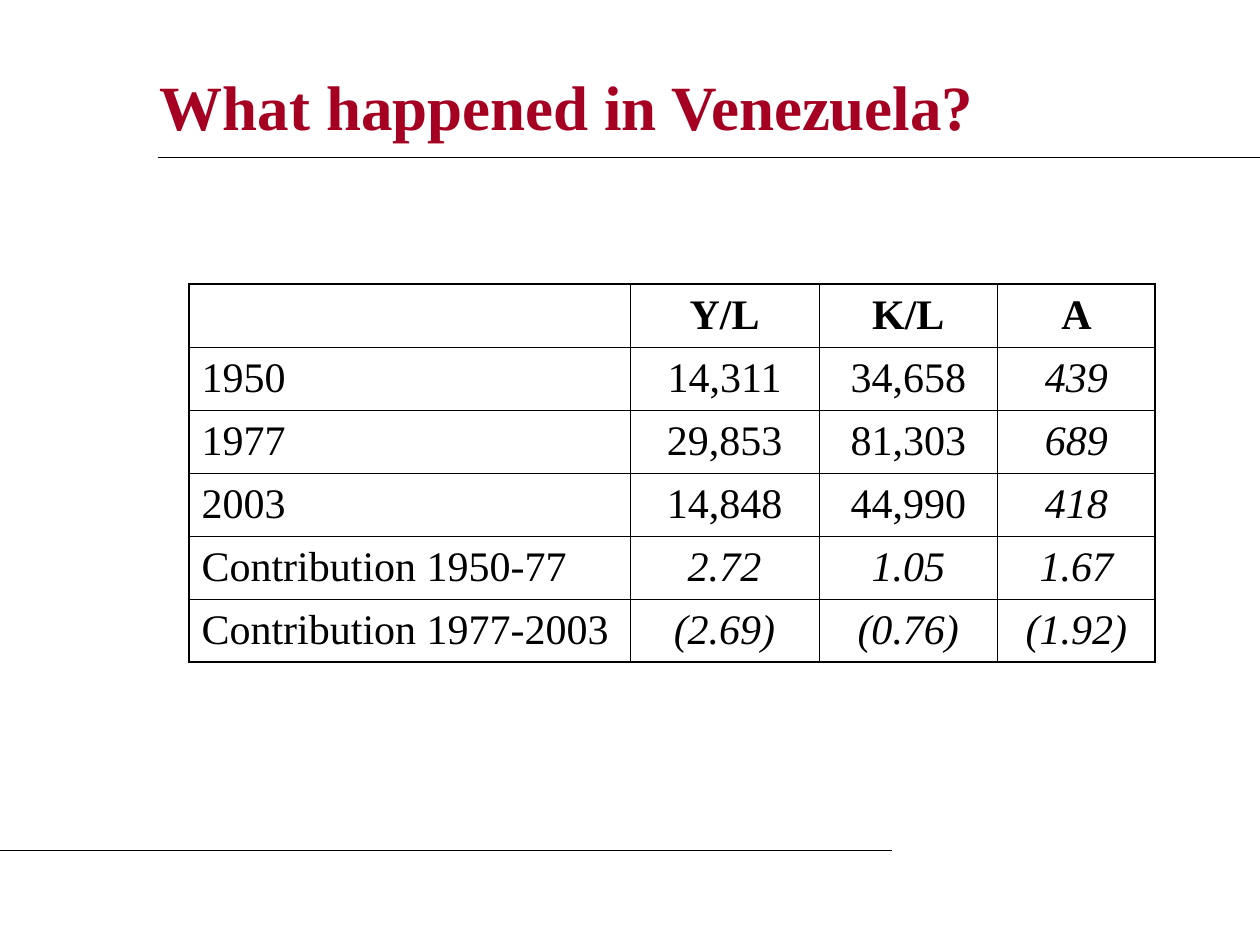
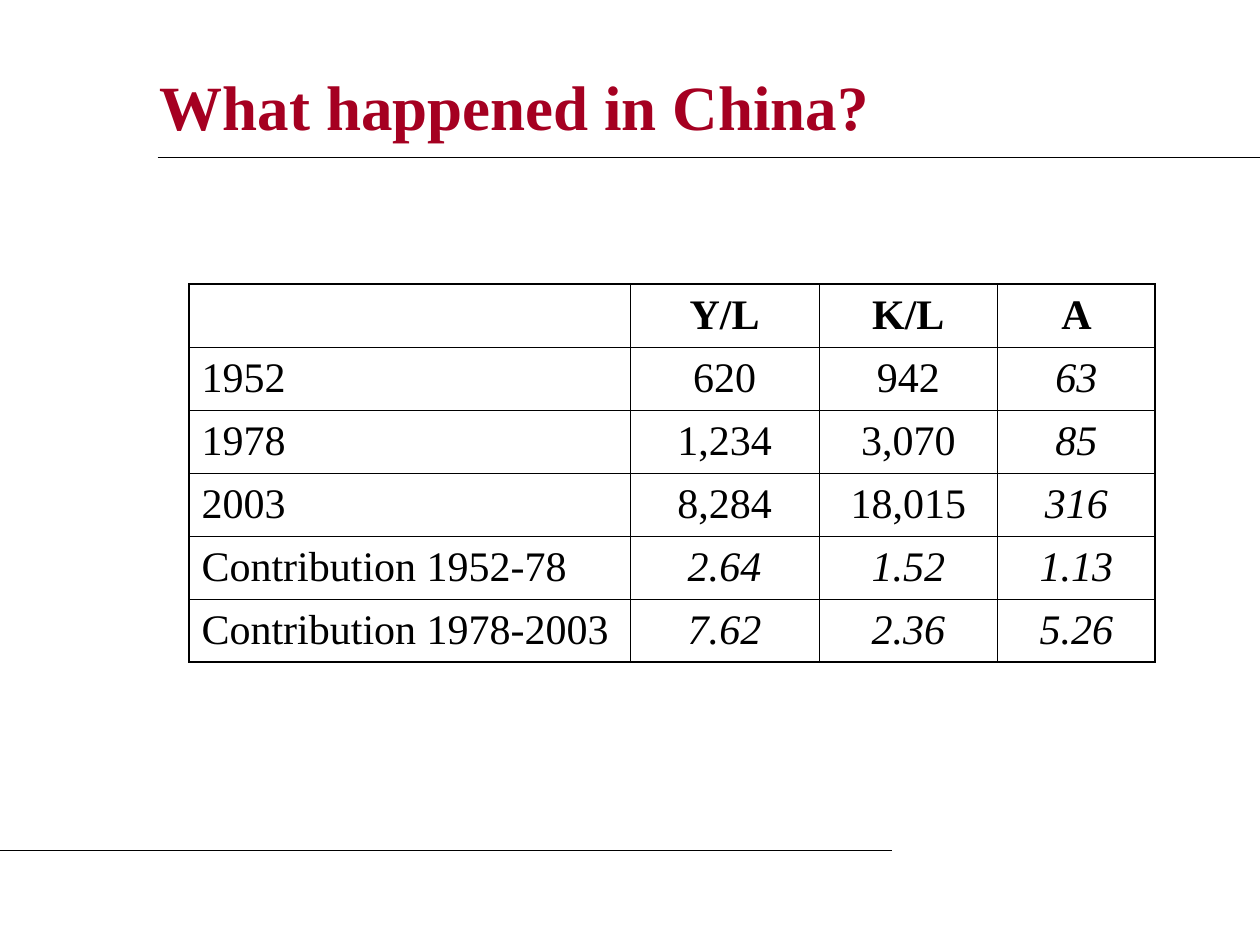
from dataclasses import dataclass

from lxml import etree
from pptx import Presentation
from pptx.dml.color import RGBColor
from pptx.enum.shapes import MSO_CONNECTOR
from pptx.enum.text import MSO_ANCHOR, MSO_AUTO_SIZE, PP_ALIGN
from pptx.oxml.ns import qn
from pptx.slide import Slide
from pptx.table import _Cell
from pptx.util import Cm, Pt

STRAIGHT = MSO_CONNECTOR.STRAIGHT
MIDDLE = MSO_ANCHOR.MIDDLE
NO_AUTOFIT = MSO_AUTO_SIZE.NONE
LEFT, CENTER = PP_ALIGN.LEFT, PP_ALIGN.CENTER
TITLE_ONLY_LAYOUT = 5


@dataclass(frozen=True)
class Theme:
    font: str = "Times New Roman"
    title_color: RGBColor = RGBColor(0xA5, 0x00, 0x21)
    ink: RGBColor = RGBColor(0x00, 0x00, 0x00)
    title_size: Pt = Pt(36)
    table_size: Pt = Pt(24)
    rule_width: Pt = Pt(0.75)
    inner_border: Pt = Pt(0.45)
    outer_border: Pt = Pt(1.08)


@dataclass(frozen=True)
class Rule:
    start: Cm
    end: Cm
    top: Cm


@dataclass(frozen=True)
class GrowthTable:
    country: str
    levels: list[tuple[str, ...]]
    contributions: list[tuple[str, ...]]


THEME = Theme()
SLIDE_WIDTH, SLIDE_HEIGHT = Cm(25.4), Cm(19.05)
RULES = (
    Rule(Cm(3.18), SLIDE_WIDTH, Cm(3.18)),
    Rule(Cm(0), Cm(17.99), Cm(17.15)),
)
HEADER = ("", "Y/L", "K/L", "A")
COLUMN_WIDTHS = (Cm(8.89), Cm(3.81), Cm(3.6), Cm(3.18))
ROW_HEIGHT = Cm(1.27)

GROWTH_TABLES = (
    GrowthTable(
        "Venezuela",
        [
            ("1950", "14,311", "34,658", "439"),
            ("1977", "29,853", "81,303", "689"),
            ("2003", "14,848", "44,990", "418"),
        ],
        [
            ("Contribution 1950-77", "2.72", "1.05", "1.67"),
            ("Contribution 1977-2003", "(2.69)", "(0.76)", "(1.92)"),
        ],
    ),
    GrowthTable(
        "China",
        [
            ("1952", "620", "942", "63"),
            ("1978", "1,234", "3,070", "85"),
            ("2003", "8,284", "18,015", "316"),
        ],
        [
            ("Contribution 1952-78", "2.64", "1.52", "1.13"),
            ("Contribution 1978-2003", "7.62", "2.36", "5.26"),
        ],
    ),
)


def add_title(page: Slide, text: str) -> None:
    title = page.shapes.title
    title.left, title.top = Cm(2.97), Cm(0.64)
    title.width, title.height = Cm(21.59), Cm(2.97)
    frame = title.text_frame
    frame.text = text
    frame.auto_size = NO_AUTOFIT
    frame.vertical_anchor = MIDDLE
    para = frame.paragraphs[0]
    para.alignment = LEFT
    para.font.name = THEME.font
    para.font.size = THEME.title_size
    para.font.bold = True
    para.font.color.rgb = THEME.title_color


def add_rule(page: Slide, rule: Rule) -> None:
    line = page.shapes.add_connector(
        STRAIGHT, rule.start, rule.top, rule.end, rule.top
    )
    line.line.color.rgb = THEME.ink
    line.line.width = THEME.rule_width
    etree.SubElement(line._element.spPr, qn("a:effectLst"))


def set_borders(cell: _Cell, outer_sides: dict[str, bool]) -> None:
    properties = cell._tc.get_or_add_tcPr()
    for side, is_outer in outer_sides.items():
        width = THEME.outer_border if is_outer else THEME.inner_border
        border = etree.SubElement(properties, qn(f"a:ln{side}"), w=str(int(width)))
        fill = etree.SubElement(border, qn("a:solidFill"))
        etree.SubElement(fill, qn("a:srgbClr"), val=str(THEME.ink))


def write_cell(cell: _Cell, text: str, align: PP_ALIGN, bold: bool, italic: bool) -> None:
    cell.text = text
    cell.vertical_anchor = MIDDLE
    para = cell.text_frame.paragraphs[0]
    para.alignment = align
    para.font.name = THEME.font
    para.font.size = THEME.table_size
    para.font.bold = bold
    para.font.italic = italic
    para.font.color.rgb = THEME.ink


def add_growth_table(page: Slide, growth: GrowthTable) -> None:
    rows = [HEADER, *growth.levels, *growth.contributions]
    last_row, last_column = len(rows) - 1, len(HEADER) - 1
    table = page.shapes.add_table(
        len(rows), len(HEADER), Cm(3.81), Cm(5.73),
        sum(COLUMN_WIDTHS), ROW_HEIGHT * len(rows),
    ).table
    table.first_row = table.horz_banding = False
    for column, width in zip(table.columns, COLUMN_WIDTHS):
        column.width = width
    for r, values in enumerate(rows):
        is_header, is_contribution = r == 0, r > len(growth.levels)
        for c, text in enumerate(values):
            cell = table.cell(r, c)
            is_label, is_productivity = c == 0, c == last_column
            set_borders(
                cell,
                {"L": is_label, "R": is_productivity, "T": is_header, "B": r == last_row},
            )
            cell.fill.background()
            italic = not is_header and not is_label and (is_productivity or is_contribution)
            write_cell(cell, text, LEFT if is_label else CENTER, is_header, italic)


def main() -> None:
    deck = Presentation()
    deck.slide_width, deck.slide_height = SLIDE_WIDTH, SLIDE_HEIGHT
    for growth in GROWTH_TABLES:
        page = deck.slides.add_slide(deck.slide_layouts[TITLE_ONLY_LAYOUT])
        add_title(page, f"What happened in {growth.country}?")
        for rule in RULES:
            add_rule(page, rule)
        add_growth_table(page, growth)
    deck.save("out.pptx")


if __name__ == "__main__":
    main()
